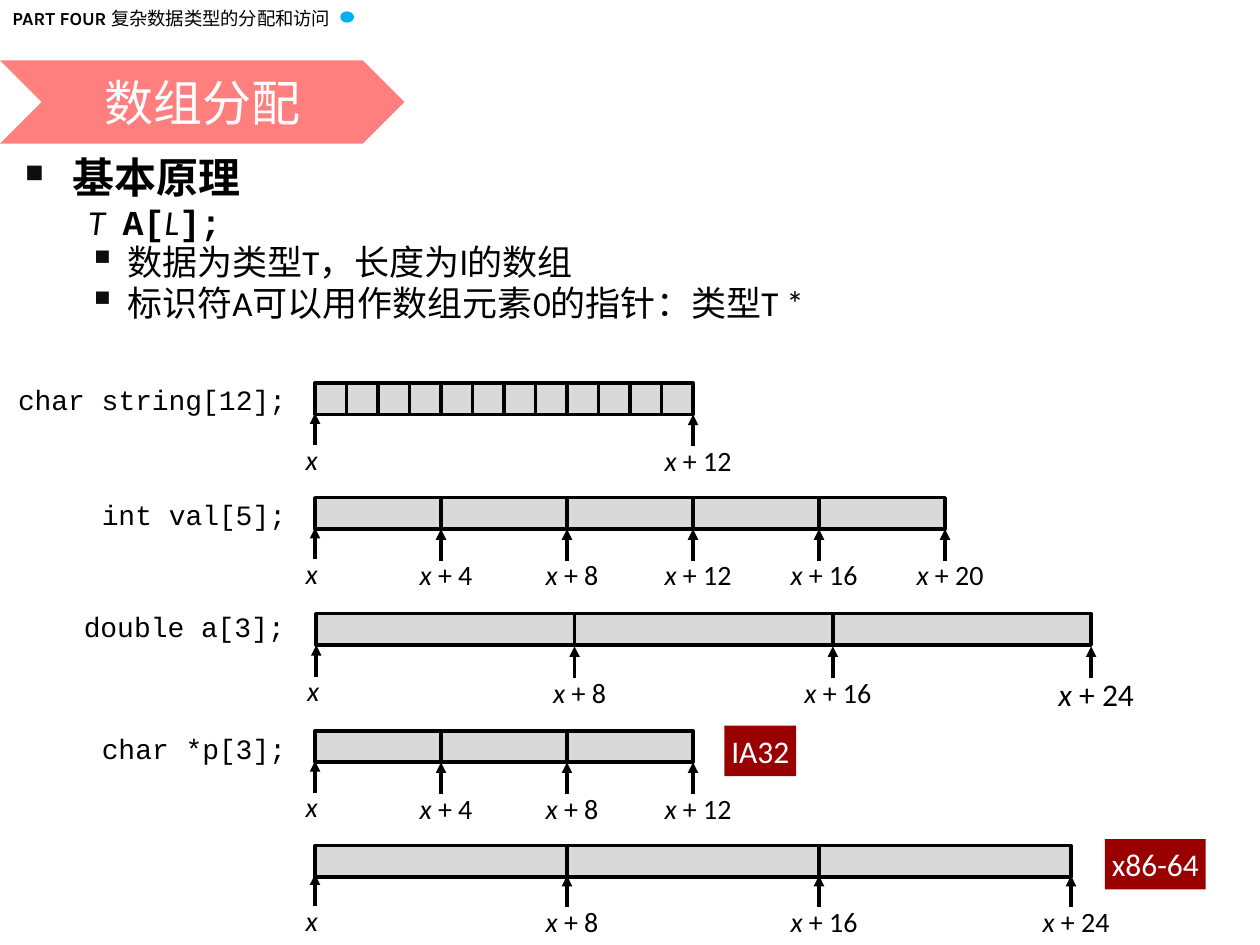
from dataclasses import dataclass

from lxml import etree
from pptx import Presentation
from pptx.dml.color import RGBColor
from pptx.enum.shapes import MSO_CONNECTOR, MSO_SHAPE
from pptx.enum.text import MSO_ANCHOR, PP_ALIGN
from pptx.oxml.ns import qn
from pptx.util import Emu, Pt

PX = 9144
STRAIGHT = MSO_CONNECTOR.STRAIGHT
RECT, OVAL, CHEVRON = MSO_SHAPE.RECTANGLE, MSO_SHAPE.OVAL, MSO_SHAPE.CHEVRON
TOP, MIDDLE = MSO_ANCHOR.TOP, MSO_ANCHOR.MIDDLE
LEFT, CENTER, RIGHT = PP_ALIGN.LEFT, PP_ALIGN.CENTER, PP_ALIGN.RIGHT


@dataclass(frozen=True)
class Theme:
    black: str = "000000"
    white: str = "FFFFFF"
    dot: str = "00B0F0"
    banner: str = "FF0000"
    cell: str = "D9D9D9"
    tag: str = "990000"
    bullet: str = "0D0D0D"
    body: str = "Calibri"
    code: str = "Courier New"
    head: str = "Karla"
    cjk: str = "Noto Sans CJK SC"
    section_size: float = 10.5
    title_size: int = 28
    lead_size: int = 24
    point_size: int = 20
    tag_size: int = 18
    label_size: int = 16
    line_width: int = 2


T = Theme()


def emu(*lengths):
    return [Emu(n * PX) for n in lengths]


def child(parent, tag, **attrs):
    return etree.SubElement(parent, qn(tag), attrs)


def add_run(p, text, size, font=T.body, color=T.black, bold=False, italic=False):
    r = p.add_run()
    r.text = text
    f = r.font
    f.size, f.name, f.bold, f.italic = Pt(size), font, bold, italic
    f.color.rgb = RGBColor.from_string(color)
    child(r._r.get_or_add_rPr(), "a:ea", typeface=T.cjk)


def set_frame(sp, align=LEFT, anchor=TOP, wrap=True):
    tf = sp.text_frame
    tf.word_wrap, tf.vertical_anchor = wrap, anchor
    p = tf.paragraphs[0]
    p.alignment = align
    return p


def add_text(shapes, box, align=LEFT, wrap=True):
    return set_frame(shapes.add_textbox(*emu(*box)), align, wrap=wrap)


def add_block(shapes, kind, box, fill, line=None):
    sp = shapes.add_shape(kind, *emu(*box))
    sp.shadow.inherit = False
    sp.fill.solid()
    sp.fill.fore_color.rgb = RGBColor.from_string(fill)
    if line:
        sp.line.color.rgb = RGBColor.from_string(line)
        sp.line.width = Pt(T.line_width)
    else:
        sp.line.fill.background()
    return sp


def add_arrow_up(shapes, x, top, length):
    s = shapes.add_connector(STRAIGHT, *emu(x, top + length, x, top))
    s.line.color.rgb = RGBColor.from_string(T.black)
    s.line.width = Pt(T.line_width)
    child(s.line._get_or_add_ln(), "a:tailEnd", type="triangle")
    child(s._element.spPr, "a:effectLst")


def add_bullet(p, char, percent):
    pPr = p._p.get_or_add_pPr()
    child(child(pPr, "a:buClr"), "a:srgbClr", val=T.bullet)
    child(pPr, "a:buSzPct", val=str(percent * 1000))
    child(pPr, "a:buChar", char=char)


def add_section(slide, x, y, w, h):
    p = add_text(slide.shapes, (x, y, w, h), wrap=False)
    add_run(p, "PART FOUR ", T.section_size, T.head, bold=True)
    add_run(p, "复杂数据类型的分配和访问", T.section_size, T.cjk)
    add_block(slide.shapes, OVAL, (x + w - 9, y + 8, 11, 9), T.dot)


def add_title(slide, x, y, w, h):
    banner = add_block(slide.shapes, CHEVRON, (x, y, w, h), T.banner)
    color = banner.fill._xPr.find(qn("a:solidFill"))[0]
    child(color, "a:alpha", val="50000")
    title = slide.shapes.title
    title.left, title.top, title.width, title.height = emu(x, y, w, h)
    slide.shapes._spTree.append(title._element)
    p = set_frame(title, CENTER, MIDDLE)
    add_run(p, "数组分配", T.title_size, T.head, T.white)


def add_principles(slide, x, y, w, h):
    size = T.point_size
    bold, italic = {"bold": True}, {"italic": True}
    code = {"font": T.code, "bold": True}
    paragraphs = [
        (38, 38, ("■", 60), T.lead_size, [("基本原理", bold)]),
        (81, 31, None, size, [("T\u2002", italic), ("A[", code), ("L", italic), ("];", code)]),
        (81, 31, ("▪", 110), size, [("数据为类型T，长度为l的数组", {})]),
        (81, 31, ("▪", 110), size, [("标识符A可以用作数组元素0的指针：类型T *", {})]),
    ]
    p = add_text(slide.shapes, (x, y, w, h))
    tf = p._parent
    for i, (margin, hang, bullet, size, runs) in enumerate(paragraphs):
        if i:
            p = tf.add_paragraph()
            p.space_before = Pt(size * 0.2)
        pPr = p._p.get_or_add_pPr()
        pPr.set("marL", str(margin * PX))
        pPr.set("indent", str(-hang * PX))
        p.line_spacing = 0.8
        if bullet:
            add_bullet(p, *bullet)
        for text, style in runs:
            add_run(p, text, size, **style)


def add_array(slide, x, y, cell, count, unit, stride=1, last_size=T.label_size, drop=0):
    height = 25
    shapes = slide.shapes.add_group_shape().shapes
    for i in range(count):
        add_block(shapes, RECT, (x + i * cell, y, cell, height), T.cell, T.black)
    for i in range(0, count + 1, stride):
        tick = x + i * cell
        top = y + height + drop - (i == 0)
        add_arrow_up(shapes, tick, top, 25)
        w, shift = (108, 4) if i else (43, -3)
        p = add_text(shapes, (tick + shift - w // 2, top + 18, w, 37), CENTER)
        size = last_size if i == count else T.label_size
        add_run(p, "x " if i else "x", size, italic=True)
        if i:
            add_run(p, f"+ {i * unit}", size)


def add_declaration(slide, x, y, w, h, text):
    p = add_text(slide.shapes, (x, y, w, h), RIGHT, wrap=False)
    add_run(p, text, T.label_size, T.code)


def add_tag(slide, x, y, w, h, text):
    sp = add_block(slide.shapes, RECT, (x, y, w, h), T.tag)
    tf = sp.text_frame
    tf.margin_left, tf.margin_top, tf.margin_right, tf.margin_bottom = emu(5, 5, 5, 5)
    add_run(set_frame(sp, CENTER, wrap=False), text, T.tag_size, color=T.white)


def main():
    prs = Presentation()
    prs.slide_width, prs.slide_height = emu(1000, 750)
    slide = prs.slides.add_slide(prs.slide_layouts[5])

    add_section(slide, 0, 1, 279, 28)
    add_title(slide, 0, 48, 321, 66)
    add_principles(slide, 10, 123, 909, 177)

    declarations = [
        (3, 299, 234, "char string[12];"),
        (70, 390, 167, "int val[5];"),
        (56, 479, 180, "double a[3];"),
        (70, 576, 167, "char *p[3];"),
    ]
    for x, y, w, text in declarations:
        add_declaration(slide, x, y, w, 37, text)

    add_array(slide, 250, 304, 25, 12, 1, stride=12)
    add_array(slide, 250, 395, 100, 5, 4)
    add_array(slide, 251, 487, 205, 3, 8, last_size=T.tag_size, drop=1)
    add_array(slide, 250, 580, 100, 3, 4)
    add_array(slide, 250, 671, 200, 3, 8, drop=-1)

    add_tag(slide, 575, 576, 57, 40, "IA32")
    add_tag(slide, 877, 666, 80, 40, "x86-64")
    prs.save("out.pptx")


if __name__ == "__main__":
    main()
